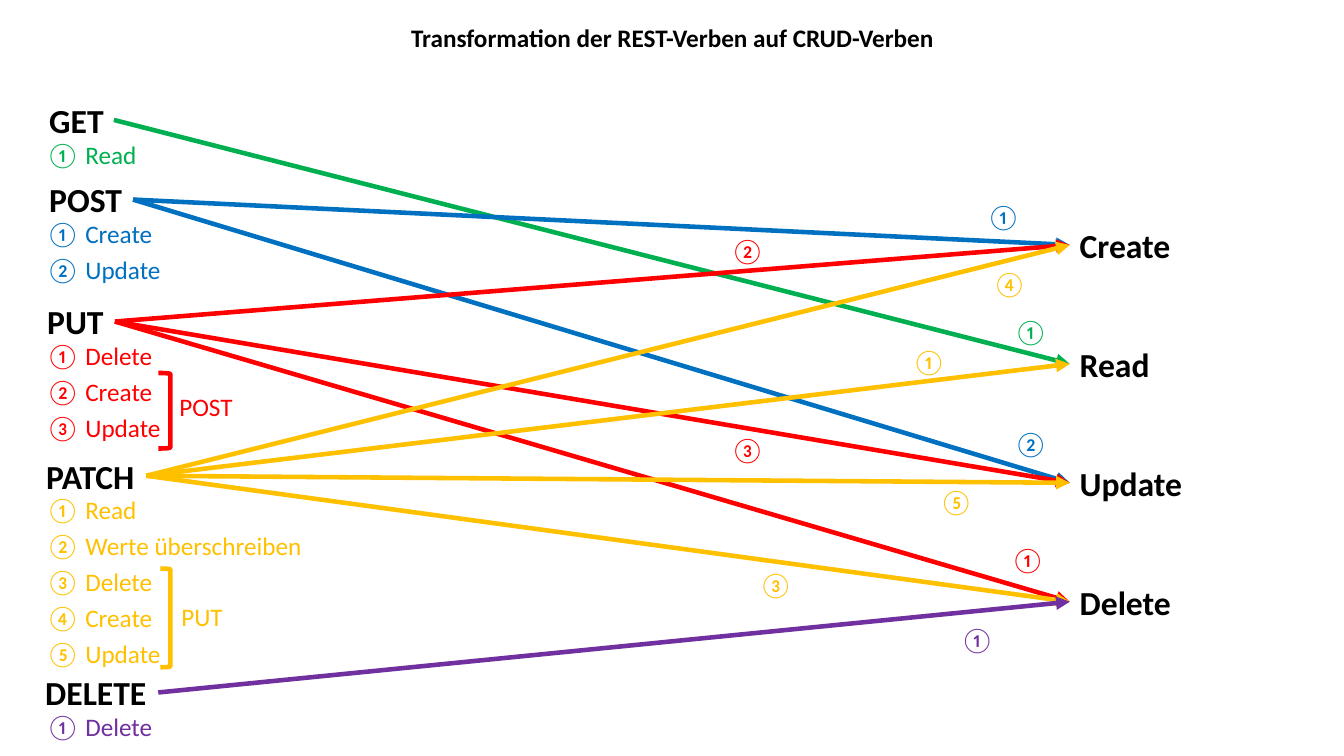
from lxml.etree import SubElement
from pptx import Presentation
from pptx.dml.color import RGBColor as Rgb
from pptx.enum.shapes import MSO_CONNECTOR as Link, MSO_SHAPE as Shape
from pptx.enum.text import MSO_ANCHOR as Anchor, MSO_AUTO_SIZE as Fit, PP_ALIGN as Align
from pptx.oxml.ns import qn
from pptx.util import Inches, Pt

HUES = {
    "text": "000000",
    "GET": "00B050",
    "POST": "0070C0",
    "PUT": "FF0000",
    "PATCH": "FFC000",
    "DELETE": "7030A0",
}
WIDE = {
    "① Read": 1.11,
    "① Create": 1.27,
    "② Create": 1.27,
    "④ Create": 1.27,
    "① Delete": 1.27,
    "③ Delete": 1.27,
    "② Update": 1.35,
    "③ Update": 1.35,
    "⑤ Update": 1.35,
    "② Werte überschreiben": 2.76,
}
VERBS = [
    ("GET", (0.39, 0.94, 0.74, 0.5), ["① Read"]),
    ("POST", (0.39, 1.73, 0.93, 0.5), ["① Create", "② Update"]),
    ("PUT", (0.37, 2.94, 0.77, 0.5), ["① Delete", "② Create", "③ Update"]),
    ("PATCH", (0.36, 4.47, 1.09, 0.5),
     ["① Read", "② Werte überschreiben", "③ Delete", "④ Create", "⑤ Update"]),
    ("DELETE", (0.35, 6.62, 1.22, 0.5), ["① Delete"]),
]
GOALS = [("Create", 1.11), ("Read", 0.9), ("Update", 1.23), ("Delete", 1.12)]
ARROWS = [
    ("GET", ["Read"]),
    ("POST", ["Create", "Update"]),
    ("PUT", ["Delete", "Create", "Update"]),
    ("PATCH", ["Read", "Delete", "Create", "Update"]),
    ("DELETE", ["Delete"]),
]
MARKS = [
    ("GET", "①", 9.96, 3.09),
    ("POST", "①", 9.69, 1.95),
    ("POST", "②", 9.96, 4.2),
    ("PUT", "①", 9.93, 5.35),
    ("PUT", "②", 7.15, 2.29),
    ("PUT", "③", 7.15, 4.26),
    ("PATCH", "①", 8.95, 3.39),
    ("PATCH", "③", 7.43, 5.6),
    ("PATCH", "④", 9.75, 2.61),
    ("PATCH", "⑤", 9.22, 4.78),
    ("DELETE", "①", 9.43, 6.14),
]
GROUPS = [
    ("PUT", (1.57, 3.7, 0.12, 0.75), "POST", (1.68, 3.83, 0.73, 0.4)),
    ("PATCH", (1.59, 5.64, 0.1, 0.98), "PUT", (1.7, 5.92, 0.62, 0.4)),
]


def hue(key):
    return Rgb.from_string(HUES[key])


def write(frame, text, size, key, bold):
    frame.word_wrap = False
    frame.auto_size = Fit.SHAPE_TO_FIT_TEXT
    run = frame.paragraphs[0].add_run()
    run.text = text
    run.font.name = "Calibri"
    run.font.size = Pt(size)
    run.font.bold = bold
    run.font.color.rgb = hue(key)


def label(slide, box, text, size=18, key="text", bold=False):
    shape = slide.shapes.add_textbox(*map(Inches, box))
    write(shape.text_frame, text, size, key, bold)
    return shape


def title(slide, box):
    shape = slide.shapes.title
    shape.left, shape.top, shape.width, shape.height = map(Inches, box)
    frame = shape.text_frame
    frame.vertical_anchor = Anchor.TOP
    frame.paragraphs[0].alignment = Align.CENTER
    write(frame, "Transformation der REST-Verben auf CRUD-Verben", 18, "text", True)


def verb(slide, box, name, steps):
    top = box[1] + 0.39
    for row, step in enumerate(steps):
        label(slide, (0.36, top + 0.355 * row, WIDE[step], 0.4), step, key=name)
    return label(slide, box, name, 24, bold=True)


def goals(slide, left, top):
    return {
        name: label(slide, (left, top + 1.18 * row, width, 0.5), name, 24, bold=True)
        for row, (name, width) in enumerate(GOALS)
    }


def arrow(slide, start, end, key):
    line = slide.shapes.add_connector(Link.STRAIGHT, 0, 0, 0, 0)
    line.begin_connect(start, 3)
    line.end_connect(end, 1)
    line.line.color.rgb = hue(key)
    line.line.width = Pt(3.25)
    SubElement(line.line._get_or_add_ln(), qn("a:tailEnd"), type="triangle")
    SubElement(line._element.spPr, qn("a:effectLst"))


def group(slide, key, box, text, spot):
    shape = slide.shapes.add_shape(Shape.RIGHT_BRACKET, *map(Inches, box))
    shape.shadow.inherit = False
    shape.fill.background()
    shape.line.color.rgb = hue(key)
    shape.line.width = Pt(3.25)
    label(slide, spot, text, key=key)


def main():
    deck = Presentation()
    deck.slide_width, deck.slide_height = Inches(13.33), Inches(7.5)
    slide = deck.slides.add_slide(deck.slide_layouts[5])
    title(slide, (3.93, 0.17, 5.48, 0.4))
    starts = {name: verb(slide, box, name, steps) for name, box, steps in VERBS}
    ends = goals(slide, 10.61, 2.18)
    for name, links in ARROWS:
        for goal in links:
            arrow(slide, starts[name], ends[goal], name)
    for name, text, left, top in MARKS:
        label(slide, (left, top, 0.54, 0.4), text, key=name)
    for item in GROUPS:
        group(slide, *item)
    deck.save("out.pptx")


if __name__ == "__main__":
    main()
